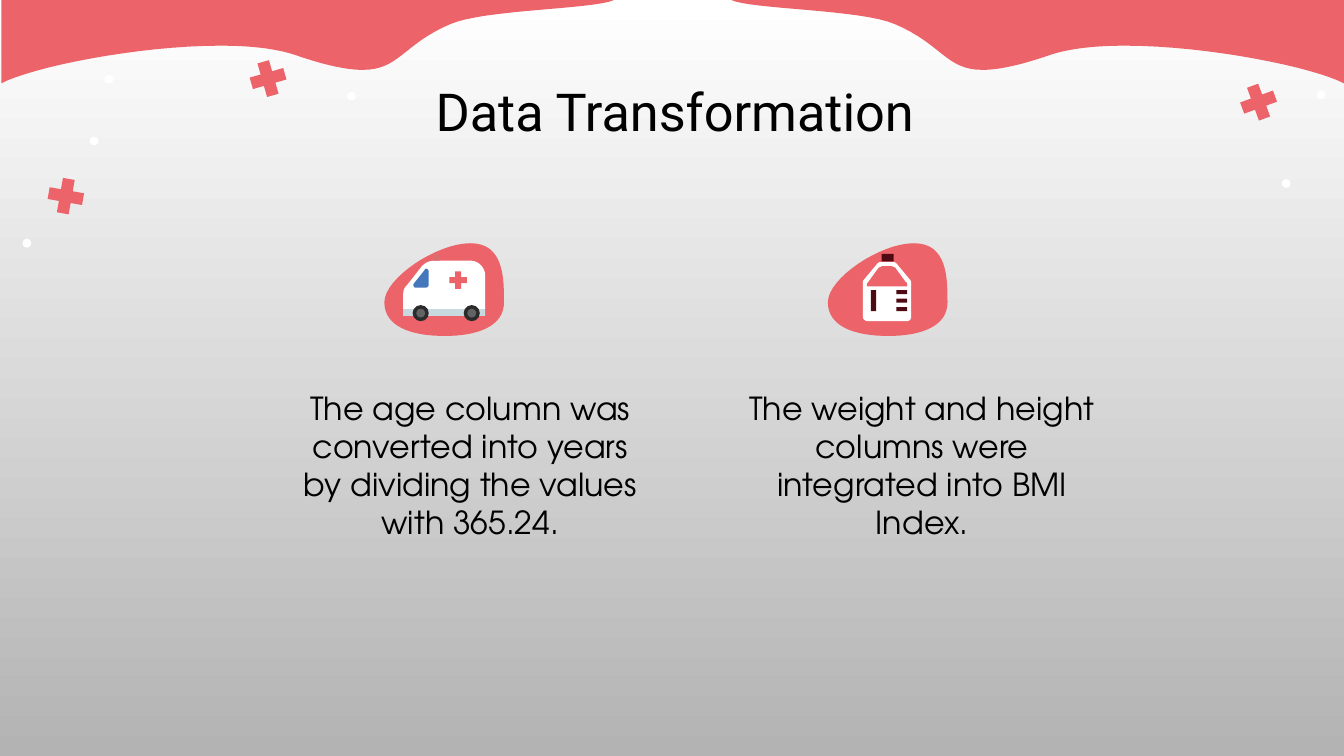
from dataclasses import dataclass

from pptx import Presentation
from pptx import util as u
from pptx.dml.color import RGBColor
from pptx.enum import shapes as kinds, text

COLUMNS, ROWS = 1000, 562.5
CELL = u.Inches(10) // COLUMNS


@dataclass(frozen=True)
class Theme:
    """Colours, fonts and type sizes of the slide."""
    coral: str = "EC6469"
    rose: str = "DC6C6D"
    white: str = "FFFFFF"
    grey: str = "B3B3B3"
    black: str = "000000"
    glass: str = "4477BB"
    bumper: str = "C9D9E0"
    tyre: str = "2B2B2B"
    hub: str = "616364"
    maroon: str = "4F0B13"
    title_font: str = "Roboto"
    body_font: str = "TeX Gyre Adventor"
    title_size: int = 28
    body_size: int = 17


THEME = Theme()

WAVE = [(1, 0), (1, 62), (24, 50, 102, 34, 164, 34), (186, 34, 205, 36, 220, 41),
        (243, 49, 259, 52, 270, 52), (297, 52, 300, 33, 335, 18), (360, 7, 442, 7, 457, 0)]
BLOB = [(64, 0), (39, 0, 0, 26, 0, 44), (0, 62, 20, 69, 45, 69),
        (69, 69, 89, 62, 89, 44), (89, 26, 89, 0, 64, 0)]
VAN = [(323, 194), (319, 194, 316, 196, 314, 198), (303, 212),
       (301, 214, 300, 216, 300, 219), (300, 230), (361, 230), (361, 205),
       (361, 199, 356, 194, 350, 194)]
VAN_WINDOW = [(317, 200), (318, 200, 319, 201, 319, 202), (319, 212),
              (319, 213, 318, 214, 317, 214), (309, 214), (308, 214, 307, 212, 308, 211),
              (316, 201), (316, 200, 317, 200, 317, 200)]
BOTTLE = [(656, 195), (655, 195, 654, 195, 653, 196), (643, 208),
          (642, 209, 642, 210, 642, 211), (642, 235), (642, 238, 644, 239, 646, 239),
          (674, 239), (677, 239, 678, 238, 678, 235), (678, 211),
          (678, 210, 678, 209, 677, 208), (667, 196), (666, 195, 665, 195, 664, 195)]
BOTTLE_WINDOW = [(663, 198), (664, 198, 665, 199, 666, 199), (674, 210),
                 (675, 210, 675, 211, 675, 212), (675, 213), (645, 213), (645, 212),
                 (645, 211, 646, 210, 646, 210), (654, 199), (655, 199, 656, 198, 657, 198)]


def cells(value):
    """Turn grid cells into a length."""
    return u.Emu(round(value * CELL))


def paint(shape, colour):
    """Give a shape a plain fill without outline or shadow."""
    shape.fill.solid()
    shape.fill.fore_color.rgb = RGBColor.from_string(colour)
    shape.line.fill.background()
    shape.shadow.inherit = False
    return shape


def trace(outline, steps=16):
    """Turn line ends and cubic curves into a list of points."""
    points = [outline[0]]
    for segment in outline[1:]:
        if len(segment) == 2:
            points.append(segment)
            continue
        x0, y0 = points[-1]
        x1, y1, x2, y2, x3, y3 = segment
        for step in range(1, steps + 1):
            t = step / steps
            a, b, c, d = (1 - t) ** 3, 3 * t * (1 - t) ** 2, 3 * t * t * (1 - t), t ** 3
            points.append((a * x0 + b * x1 + c * x2 + d * x3,
                           a * y0 + b * y1 + c * y2 + d * y3))
    return points


def add_outline(shapes, outline, colour, left=0, top=0, mirrored=False):
    """Draw a filled curved outline, mirrored across the slide on request."""
    points = [(cells(COLUMNS + 1 - x if mirrored else x), cells(y)) for x, y in trace(outline)]
    builder = shapes.build_freeform(*points[0], scale=1.0)
    builder.add_line_segments(points[1:], close=True)
    return paint(builder.convert_to_shape(cells(left), cells(top)), colour)


def add_box(shapes, left, top, width, height, colour):
    """Draw a plain rectangle."""
    box = shapes.add_shape(kinds.MSO_SHAPE.RECTANGLE,
                           cells(left), cells(top), cells(width), cells(height))
    return paint(box, colour)


def add_dot(shapes, x, y, size, colour):
    """Draw a circle around a centre."""
    dot = shapes.add_shape(kinds.MSO_SHAPE.OVAL, cells(x - size / 2), cells(y - size / 2),
                           cells(size), cells(size))
    return paint(dot, colour)


def add_cross(shapes, x, y, size, angle=0):
    """Draw a medical cross around a centre."""
    cross = shapes.add_shape(kinds.MSO_SHAPE.CROSS, cells(x - size / 2), cells(y - size / 2),
                             cells(size), cells(size))
    cross.adjustments[0] = 0.33
    cross.rotation = angle
    return paint(cross, THEME.coral)


def add_text(slide, wording, left, top, width, height, *, font, size,
             anchor=text.MSO_ANCHOR.TOP):
    """Place centred text in a wrapping box."""
    box = slide.shapes.add_textbox(cells(left), cells(top), cells(width), cells(height))
    frame = box.text_frame
    frame.word_wrap = True
    frame.vertical_anchor = anchor
    frame.margin_left = frame.margin_right = frame.margin_top = frame.margin_bottom = cells(10)
    paragraph = frame.paragraphs[0]
    paragraph.alignment = text.PP_ALIGN.CENTER
    run = paragraph.add_run()
    run.text = wording
    run.font.name = font
    run.font.size = u.Pt(size)
    run.font.color.rgb = RGBColor.from_string(THEME.black)


def add_backdrop(slide):
    """Set the gradient and scatter the decorations."""
    fill = slide.background.fill
    fill.gradient()
    fill.gradient_angle = 270
    for stop, colour in zip(fill.gradient_stops, (THEME.white, THEME.grey)):
        stop.color.rgb = RGBColor.from_string(colour)
    for x, y, angle in ((49, 146, 10), (199.5, 58.5, -16), (936.5, 76, -20)):
        add_cross(slide.shapes, x, y, 26, angle)
    for x, y in ((20, 181), (70, 105), (81, 59), (261.5, 71.5),
                 (939.5, 34), (957, 136.5), (983, 70.5)):
        add_dot(slide.shapes, x, y, 6.5, THEME.white)
    for mirrored in (True, False):
        add_outline(slide.shapes, WAVE, THEME.coral, mirrored=mirrored)


def add_ambulance(slide):
    """Draw the ambulance icon."""
    van = slide.shapes.add_group_shape().shapes
    add_outline(van, VAN, THEME.white)
    add_box(van, 322, 189, 5, 5, THEME.rose)
    add_cross(van, 341, 208.5, 13)
    add_outline(van, VAN_WINDOW, THEME.glass)
    add_box(van, 300, 230, 61, 5, THEME.bumper)
    for x in (313, 351):
        add_dot(van, x, 233, 12, THEME.tyre)
        add_dot(van, x, 233, 6.5, THEME.hub)


def add_bottle(slide):
    """Draw the medicine bottle icon."""
    bottle = slide.shapes.add_group_shape().shapes
    add_outline(bottle, BOTTLE, THEME.white)
    add_outline(bottle, BOTTLE_WINDOW, THEME.coral)
    add_box(bottle, 656, 189, 9, 5.5, THEME.maroon)
    add_box(bottle, 648, 216, 4, 15.5, THEME.maroon)
    for row in range(3):
        add_box(bottle, 667, 216 + 6.3 * row, 8, 3, THEME.maroon)


def main():
    """Build and save the slide."""
    presentation = Presentation()
    presentation.slide_width, presentation.slide_height = cells(COLUMNS), cells(ROWS)
    slide = presentation.slides.add_slide(presentation.slide_layouts[6])
    add_backdrop(slide)
    add_text(slide, "Data Transformation", 80, 56, 844, 52, font=THEME.title_font,
             size=THEME.title_size, anchor=text.MSO_ANCHOR.MIDDLE)
    topics = (
        (211, 286, add_ambulance,
         "The age column was converted into years by dividing the values with 365.24."),
        (547, 616, add_bottle,
         "The weight and height columns were integrated into BMI Index."),
    )
    for text_left, blob_left, add_icon, wording in topics:
        add_text(slide, wording, text_left, 279, 278, 271,
                 font=THEME.body_font, size=THEME.body_size)
        add_outline(slide.shapes, BLOB, THEME.coral, blob_left, 181)
        add_icon(slide)
    presentation.save("out.pptx")


if __name__ == "__main__":
    main()
